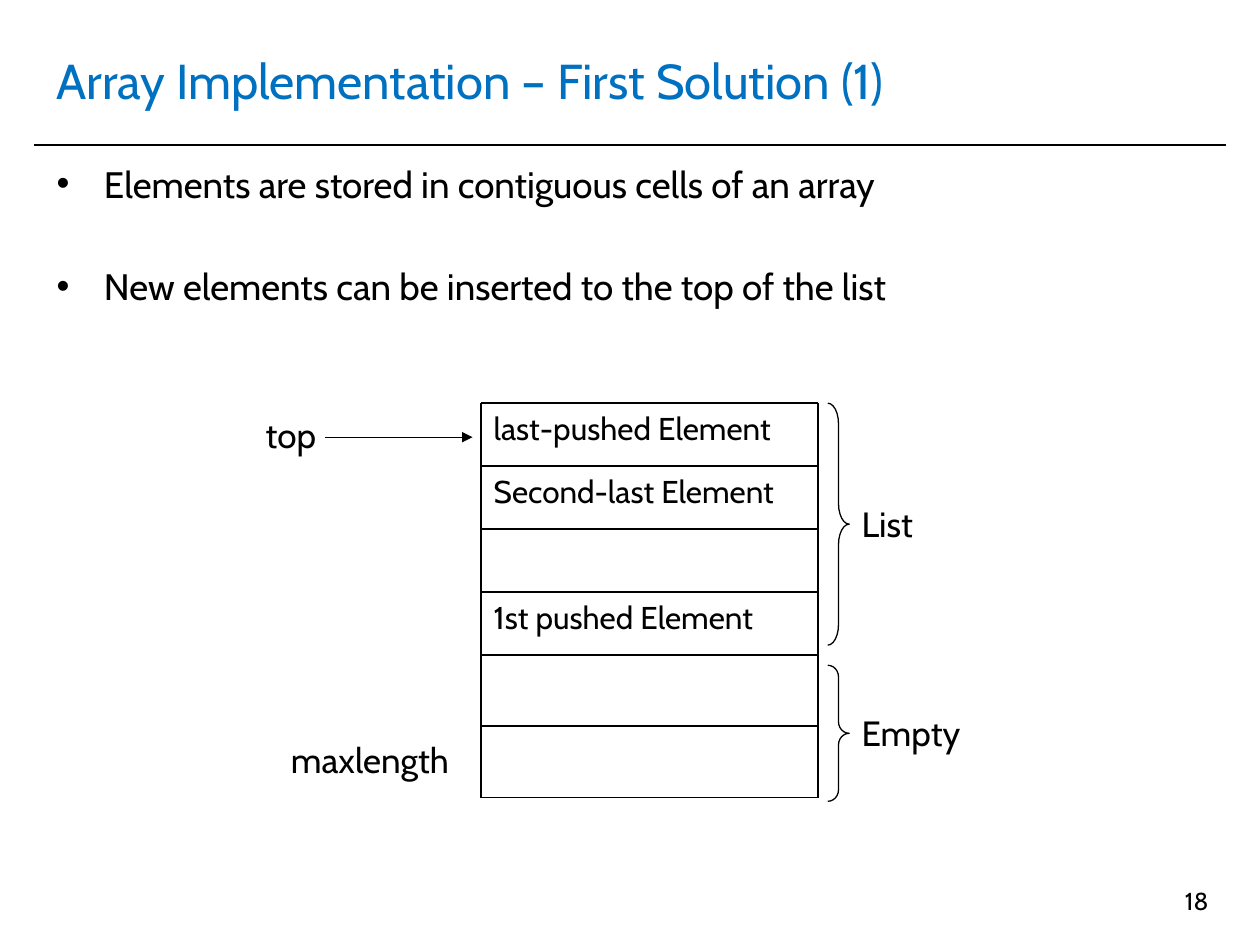
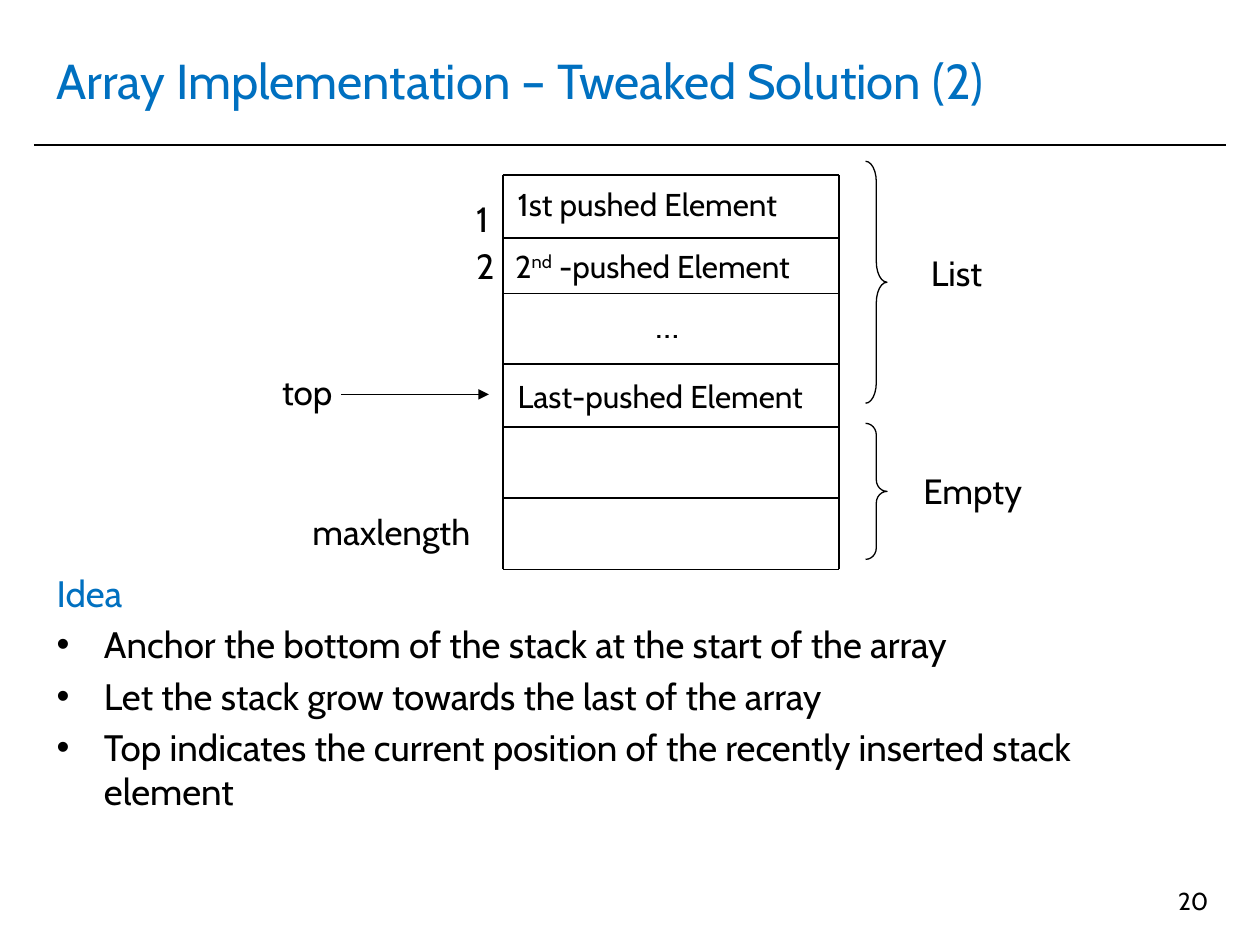
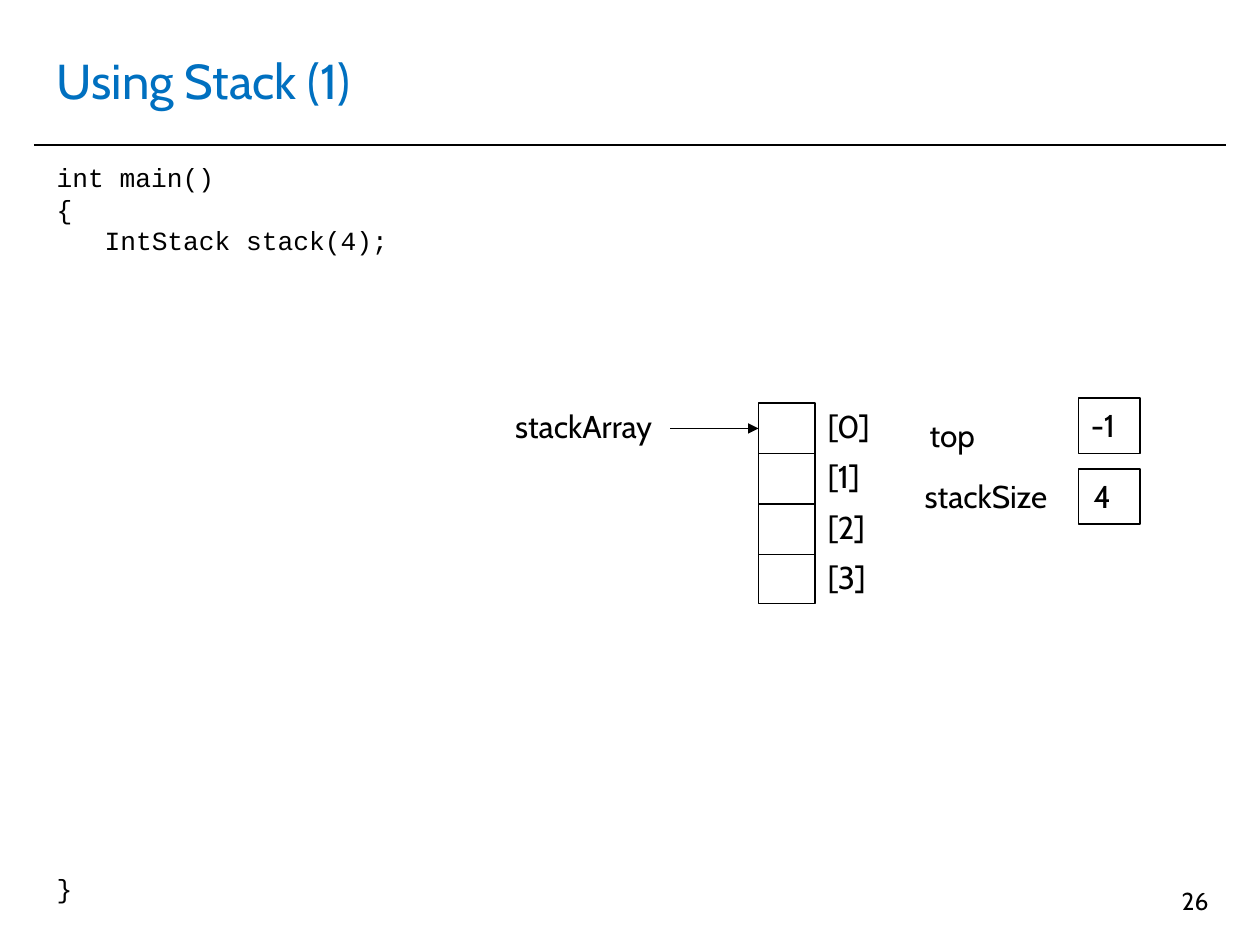
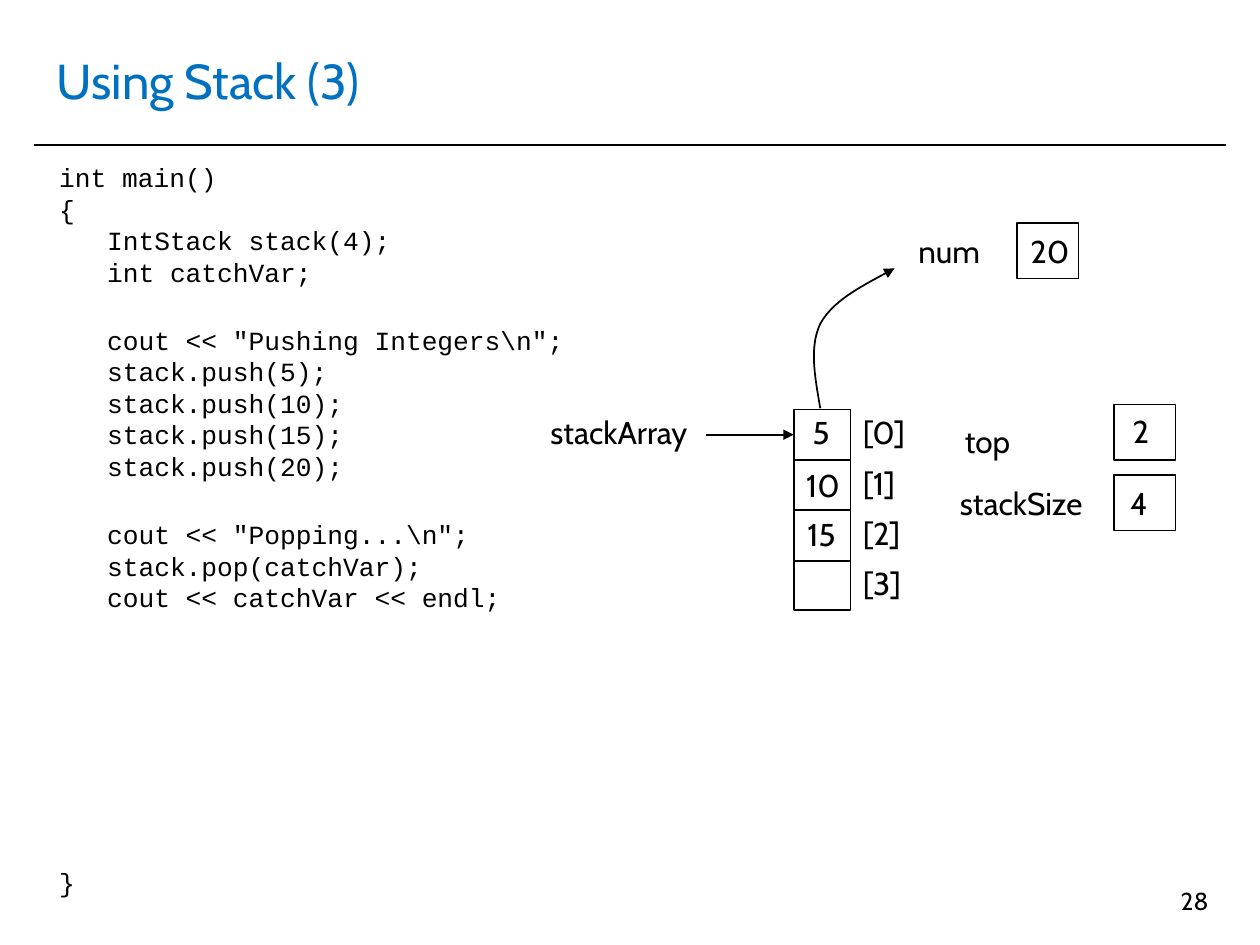
from pptx import Presentation
from pptx.dml.color import RGBColor
from pptx.enum.shapes import MSO_CONNECTOR, MSO_SHAPE
from pptx.enum.text import MSO_ANCHOR, MSO_AUTO_SIZE, PP_ALIGN
from pptx.oxml.ns import qn
from pptx.util import Inches, Pt
from lxml.etree import SubElement

BLACK = RGBColor(0x00, 0x00, 0x00)
BLUE = RGBColor(0x00, 0x70, 0xC0)
SANS, MONO = "Cabin", "Courier New"
STRAIGHT = MSO_CONNECTOR.STRAIGHT
RECT, BRACE = MSO_SHAPE.RECTANGLE, MSO_SHAPE.RIGHT_BRACE
LEFT, CENTER, RIGHT = PP_ALIGN.LEFT, PP_ALIGN.CENTER, PP_ALIGN.RIGHT
MIDDLE, FIXED = MSO_ANCHOR.MIDDLE, MSO_AUTO_SIZE.NONE

BODY = (0.35, 1.23, 9.29, 5.59)
INDENT = 0.38
ROW_W = 2.67

# List slides: items are (text, is bullet, space before in points or None).
# Labels are (text, size, left, top, width, height).
LISTS = [
    {
        "title": "Array Implementation – First Solution (1)",
        "page": "18",
        "inset": 0.05,
        "items": [
            ("Elements are stored in contiguous cells of an array", True, None),
            ("New elements can be inserted to the top of the list", True, 33.4),
        ],
        "left": 3.82,
        "rows": [3.2, 3.7, 4.2, 4.7, 5.2, 5.76, 6.33],
        "brace": (6.57, 3.2),
        "arrow": (2.58, 3.47),
        "labels": [
            ("last-pushed Element", 18, 3.82, 3.2, 2.67, 0.5),
            ("Second-last Element", 18, 3.82, 3.7, 2.67, 0.5),
            ("1st pushed Element", 18, 3.82, 4.7, 2.67, 0.5),
            ("List", 20, 6.74, 3.94, 1.17, 0.44),
            ("Empty", 20, 6.74, 5.6, 1.17, 0.44),
            ("maxlength", 20, 2.21, 5.81, 1.61, 0.44),
            ("top", 20, 2.01, 3.23, 0.99, 0.44),
        ],
    },
    {
        "title": "Array Implementation – Tweaked Solution (2)",
        "page": "20",
        "inset": 3.3,
        "items": [
            ("Idea", False, None),
            ("Anchor the bottom of the stack at the start of the array", True, None),
            ("Let the stack grow towards the last of the array", True, None),
            ("Top indicates the current position of the recently inserted "
             "stack element", True, None),
        ],
        "left": 3.99,
        "rows": [1.39, 1.89, 2.33, 2.89, 3.39, 3.95, 4.52],
        "brace": (6.87, 1.28),
        "arrow": (2.71, 3.13),
        "labels": [
            ("1st pushed Element", 18, 4.01, 1.42, 2.75, 0.71),
            ("Last-pushed Element", 18, 4.01, 2.94, 2.67, 0.5),
            ("List", 20, 7.29, 1.95, 1.17, 0.44),
            ("Empty", 20, 7.23, 3.68, 1.17, 0.44),
            ("maxlength", 20, 2.38, 4.0, 1.61, 0.44),
            ("top", 20, 2.14, 2.89, 0.99, 0.44),
            ("1", 20, 3.68, 1.52, 1.17, 0.44),
            ("2", 20, 3.68, 1.89, 1.17, 0.44),
        ],
    },
]
ORDINAL = ("2", "nd", " -pushed Element")

# Code slides: lines are (text, indent level, space before in points).
# Values are (text, offset right, offset down) from the array corner.
CODES = [
    {
        "title": "Using Stack (1)",
        "page": "26",
        "body": BODY,
        "lines": [
            ("int main()", 0, 3),
            ("{", 0, 0),
            ("IntStack stack(4);", 1, 0),
            ("}", 0, 352),
        ],
        "corner": (6.02, 3.2),
        "values": [("-1", 2.54, -0.03), ("4", 2.56, 0.54)],
    },
    {
        "title": "Using Stack (3)",
        "page": "28",
        "body": (0.37, 1.23, 6.52, 5.59),
        "lines": [
            ("int main()", 0, 3),
            ("{", 0, 0),
            ("IntStack stack(4);", 1, 0),
            ("int catchVar;", 1, 0),
            ('cout << "Pushing Integers\\n";', 1, 21),
            ("stack.push(5);", 1, 0),
            ("stack.push(10);", 1, 0),
            ("stack.push(15);", 1, 0),
            ("stack.push(20);", 1, 0),
            ('cout << "Popping...\\n";', 1, 21),
            ("stack.pop(catchVar);", 1, 0),
            ("cout << catchVar << endl;", 1, 0),
            ("}", 0, 145),
        ],
        "corner": (6.3, 3.25),
        "values": [
            ("2", 2.59, -0.03), ("4", 2.57, 0.54),
            ("5", 0.05, -0.02), ("10", 0, 0.4), ("15", 0.01, 0.79),
        ],
    },
]
CELL_W, CELL_H, CELLS = 0.45, 0.4, 4
POP_PATH = [(6.51, 3.24), (6.47, 3.0), (6.42, 2.76), (6.51, 2.57),
            (6.61, 2.39), (6.86, 2.26), (7.1, 2.13)]


def inch(*nums):
    return [Inches(n) for n in nums]


def style(para, size, color=BLACK, font=SANS):
    for run in para.runs:
        run.font.name = font
        run.font.size = Pt(size)
        run.font.color.rgb = color


def place(shape, area):
    shape.left, shape.top, shape.width, shape.height = inch(*area)


def label(slide, text, size, x, y, w, h=0.4, align=LEFT):
    box = slide.shapes.add_textbox(*inch(x, y, w, h))
    box.text_frame.word_wrap = True
    box.text_frame.text = text
    para = box.text_frame.paragraphs[0]
    para.alignment = align
    style(para, size)
    return para


def stroke(shape, width, arrow=False):
    shape.line.color.rgb = BLACK
    shape.line.width = Pt(width)
    if arrow:
        SubElement(shape.line._get_or_add_ln(), qn("a:tailEnd"), type="triangle")


def line(slide, x1, y1, x2, y2, width=1, arrow=False):
    link = slide.shapes.add_connector(STRAIGHT, *inch(x1, y1, x2, y2))
    stroke(link, width, arrow)
    SubElement(link._element.spPr, qn("a:effectLst"))
    return link


def outline(slide, kind, x, y, w, h, width=1):
    shape = slide.shapes.add_shape(kind, *inch(x, y, w, h))
    shape.fill.background()
    shape.shadow.inherit = False
    stroke(shape, width)
    return shape


def indent(para, left, bullet=False):
    """Drop the template's bullet and set a plain left margin."""
    if not bullet:
        props = para._p.get_or_add_pPr()
        props.set("marL", str(Inches(left)))
        props.set("indent", "0")
        SubElement(props, qn("a:buNone"))


def start(deck, data, area):
    """Add a slide with title and page number; return it and its body frame."""
    slide = deck.slides.add_slide(deck.slide_layouts[1])
    title, body = slide.placeholders
    place(title, (0.35, 0.21, 9.29, 0.85))
    title.text_frame.text = data["title"]
    title.text_frame.vertical_anchor = MIDDLE
    title.text_frame.auto_size = FIXED
    head = title.text_frame.paragraphs[0]
    head.alignment = LEFT
    style(head, 28, BLUE)
    place(body, area)
    body.text_frame.auto_size = FIXED
    label(slide, data["page"], 14, 7.36, 6.98, 2.33, 0.52, RIGHT)
    return slide, body.text_frame


def list_slide(deck, data):
    slide, frame = start(deck, data, BODY)
    frame.margin_top = Inches(data["inset"])
    frame.text = "\n".join(item[0] for item in data["items"])
    for para, (_, bullet, gap) in zip(frame.paragraphs, data["items"]):
        indent(para, 0, bullet)
        if gap:
            para.space_before = Pt(gap)
        style(para, 21, BLACK if bullet else BLUE)

    left, rows = data["left"], data["rows"]
    for y in rows:
        line(slide, left, y, left + ROW_W, y)
    for x in (left, left + ROW_W):
        line(slide, x, rows[0], x, rows[-1])

    x, top = data["brace"]
    for y, high in ((top, 1.92), (top + 2.08, 1.08)):
        brace = outline(slide, BRACE, x, y, 0.17, high, 0.75)
        brace.adjustments[0] = high / 2

    x, y = data["arrow"]
    line(slide, x, y, x + 1.17, y, 0.75, True)
    for item in data["labels"]:
        label(slide, *item)
    return slide


def add_ordinal(slide):
    para = label(slide, ORDINAL[0], 18, 3.99, 1.91, ROW_W, 0.5)
    for part in ORDINAL[1:]:
        para.add_run().text = part
    style(para, 18)
    para.runs[1].font._element.set("baseline", "30000")


def code_slide(deck, data):
    slide, frame = start(deck, data, data["body"])
    frame.text = "\n".join(item[0] for item in data["lines"])
    for para, (_, level, gap) in zip(frame.paragraphs, data["lines"]):
        indent(para, level * INDENT)
        para.space_before = Pt(gap)
        para.line_spacing = Pt(18)
        style(para, 15, font=MONO)

    x, y = data["corner"]
    outline(slide, RECT, x, y, CELL_W, 1.59)
    for row in range(CELLS):
        down = y + row * CELL_H
        if row:
            line(slide, x, down, x + CELL_W, down)
        label(slide, f"[{row}]", 18, x + CELL_W, down - 0.02, 0.71)
    label(slide, "stackArray", 18, x - 2.03, y - 0.02, 1.5)
    line(slide, x - 0.7, y + 0.2, x, y + 0.2, arrow=True)
    label(slide, "top", 18, x + 1.26, y + 0.05, 0.76)
    label(slide, "stackSize", 18, x + 1.22, y + 0.54, 1.49)
    for down in (-0.04, 0.52):
        outline(slide, RECT, x + 2.54, y + down, 0.49, 0.44)
    for text, right, down in data["values"]:
        label(slide, text, 18, x + right, y + down, 0.55)
    return slide


def add_pop(slide):
    """Draw the popped number and the curved arrow that leads to it."""
    label(slide, "num", 18, 7.19, 1.79, 0.92)
    outline(slide, RECT, 8.07, 1.77, 0.49, 0.44)
    label(slide, "20", 18, 8.08, 1.79, 0.59)
    points = [inch(*point) for point in POP_PATH]
    pen = slide.shapes.build_freeform(*points[0])
    pen.add_line_segments(points[1:], close=False)
    curve = pen.convert_to_shape()
    curve.fill.background()
    curve.shadow.inherit = False
    stroke(curve, 1, True)
    track = next(curve._element.iter(qn("a:path")))
    steps = track.findall(qn("a:lnTo"))
    for first in range(0, len(steps), 3):
        arc = SubElement(track, qn("a:cubicBezTo"))
        for step in steps[first:first + 3]:
            arc.append(step[0])
            track.remove(step)


def main():
    deck = Presentation()
    deck.slide_width, deck.slide_height = inch(10, 7.5)
    first, second = [list_slide(deck, data) for data in LISTS]
    add_ordinal(second)
    label(second, "…", 20, 3.97, 2.36, 2.65, 0.44, CENTER)
    _, last = [code_slide(deck, data) for data in CODES]
    add_pop(last)
    rule = line(first, 0.27, 1.15, 9.73, 1.15)
    deck.slide_master.shapes._spTree.append(rule._element)
    deck.save("out.pptx")


if __name__ == "__main__":
    main()
